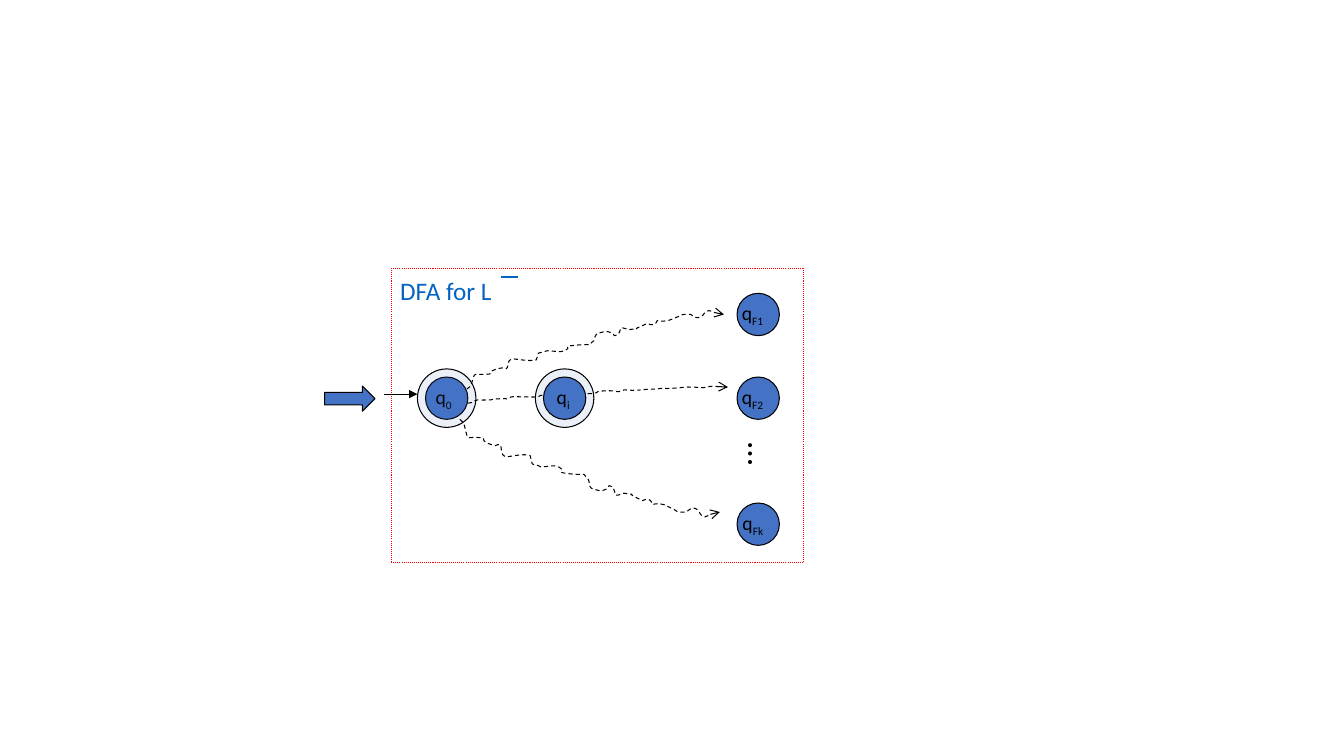
"""Build a slide showing a DFA with wavy paths from its start state to its final states."""
from itertools import pairwise

from lxml import etree
from pptx import Presentation
from pptx.dml.color import RGBColor
from pptx.enum.dml import MSO_LINE_DASH_STYLE as DASH
from pptx.enum.shapes import MSO_CONNECTOR, MSO_SHAPE
from pptx.enum.text import MSO_ANCHOR, MSO_AUTO_SIZE, PP_ALIGN
from pptx.oxml.ns import qn
from pptx.util import Pt

EMU_PER_PX = 9144
BLACK = RGBColor(0x00, 0x00, 0x00)
STATE_BLUE = RGBColor(0x44, 0x72, 0xC4)
TITLE_BLUE = RGBColor(0x05, 0x63, 0xC1)
FRAME_RED = RGBColor(0xFF, 0x00, 0x00)
FONT = "Calibri"

STATE_SIZE, HALO_SIZE = 42, 58
START_X, MIDDLE_X, FINAL_X = 443, 560, 752
ROW_Y = 395
FINAL_STATES = (("F1", 312), ("F2", ROW_Y), ("Fk", 520))
FRAME_LEFT, FRAME_TOP, FRAME_RIGHT, FRAME_BOTTOM = 388, 266, 797, 558

WAVE_WIDTH, WAVE_RISE = 255, 74
WAVE = (
    (1, 1, 3, 2, 4, 3), (5, 5, 5, 8, 6, 10), (9, 18, 6, 13, 23, 15),
    (23, 16, 24, 18, 25, 18), (28, 20, 35, 21, 35, 21), (43, 18, 39, 23, 42, 28),
    (42, 29, 44, 29, 45, 30), (49, 30, 63, 27, 69, 29), (72, 38, 69, 35, 77, 37),
    (78, 38, 80, 38, 81, 38), (85, 38, 93, 36, 97, 38), (105, 42, 95, 42, 103, 43),
    (110, 44, 116, 44, 122, 44), (123, 46, 125, 47, 126, 48),
    (128, 51, 126, 53, 129, 55), (132, 56, 137, 57, 137, 57),
    (139, 57, 141, 57, 143, 56), (149, 53, 143, 52, 150, 54),
    (155, 62, 149, 62, 161, 59), (177, 61, 162, 58, 172, 62),
    (174, 63, 179, 65, 179, 65), (184, 63, 187, 63, 189, 68),
    (199, 66, 202, 69, 210, 72), (215, 75, 216, 74, 222, 74),
    (227, 71, 229, 69, 234, 73), (239, 81, 247, 74, 255, 74),
)


def px(length):
    return round(length * EMU_PER_PX)


def style_line(line, color, width=0.75, dash=None, head=None):
    line.color.rgb = color
    line.width = Pt(width)
    if dash is not None:
        line.dash_style = dash
    if head:
        etree.SubElement(line._get_or_add_ln(), qn("a:tailEnd"), type=head)


def add_filled(shapes, preset, left, top, width, height):
    filled = shapes.add_shape(preset, px(left), px(top), px(width), px(height))
    filled.shadow.inherit = False
    filled.fill.solid()
    filled.fill.fore_color.rgb = STATE_BLUE
    style_line(filled.line, BLACK)
    return filled


def add_circle(shapes, center_x, center_y, size):
    return add_filled(shapes, MSO_SHAPE.OVAL, center_x - size / 2,
                      center_y - size / 2, size, size)


def add_state(shapes, index, center_x, center_y):
    frame = add_circle(shapes, center_x, center_y, STATE_SIZE).text_frame
    frame.word_wrap = False
    frame.vertical_anchor = MSO_ANCHOR.MIDDLE
    label = frame.paragraphs[0]
    label.alignment = PP_ALIGN.RIGHT
    label.add_run().text = "q"
    subscript = label.add_run()
    subscript.text = index
    subscript.font._element.set("baseline", "-25000")
    set_font(label, 14, BLACK)


def add_halo(shapes, center_x, center_y):
    halo = add_circle(shapes, center_x, center_y, HALO_SIZE)
    tint = halo.fill._xPr.find(f".//{qn('a:srgbClr')}")
    etree.SubElement(tint, qn("a:alpha"), val="10000")


def set_font(paragraph, size, color):
    paragraph.font.name = FONT
    paragraph.font.size = Pt(size)
    paragraph.font.color.rgb = color


def add_text(shapes, text, left, top, width, height, size, color):
    box = shapes.add_textbox(px(left), px(top), px(width), px(height))
    box.text_frame.word_wrap = False
    box.text_frame.auto_size = MSO_AUTO_SIZE.SHAPE_TO_FIT_TEXT
    box.text_frame.text = text
    set_font(box.text_frame.paragraphs[0], size, color)
    return box


def add_line(shapes, start, end, color, **line_style):
    connector = shapes.add_connector(MSO_CONNECTOR.STRAIGHT, *map(px, start + end))
    style_line(connector.line, color, **line_style)
    etree.SubElement(connector._element.spPr, qn("a:effectLst"))


def bend_segments(path):
    """Turn each three straight segments into one cubic curve."""
    segments = list(path._element.iter(qn("a:lnTo")))
    for first in range(0, len(segments), 3):
        curve = etree.Element(qn("a:cubicBezTo"))
        segments[first].addprevious(curve)
        for segment in segments[first:first + 3]:
            curve.append(segment[0])
            segment.getparent().remove(segment)


def add_wavy_path(shapes, left, start_y, width, rise):
    points = [(px(left + curve[i] * width / WAVE_WIDTH),
               px(start_y - curve[i + 1] * rise / WAVE_RISE))
              for curve in WAVE for i in (0, 2, 4)]
    builder = shapes.build_freeform(px(left), px(start_y))
    builder.add_line_segments(points, close=False)
    path = builder.convert_to_shape()
    bend_segments(path)
    path.shadow.inherit = False
    path.fill.background()
    style_line(path.line, BLACK, dash=DASH.DASH, head="arrow")


def add_frame(shapes):
    left_top, right_top = (FRAME_LEFT, FRAME_TOP), (FRAME_RIGHT, FRAME_TOP)
    left_bottom, right_bottom = (FRAME_LEFT, FRAME_BOTTOM), (FRAME_RIGHT, FRAME_BOTTOM)
    for start, end in pairwise((left_bottom, left_top, right_top, right_bottom, left_bottom)):
        add_line(shapes, min(start, end), max(start, end), FRAME_RED, dash=DASH.ROUND_DOT)


def main():
    deck = Presentation()
    deck.slide_width, deck.slide_height = px(1333), px(750)
    shapes = deck.slides.add_slide(deck.slide_layouts[6]).shapes

    add_state(shapes, "0", START_X, ROW_Y)
    for index, center_y in FINAL_STATES:
        add_state(shapes, index, FINAL_X, center_y)
    for center_x in (START_X, MIDDLE_X):
        add_halo(shapes, center_x, ROW_Y)
    add_text(shapes, "…", 729, 431, 53, 50, 24, BLACK).rotation = 90

    for left, start_y, width, rise in ((463, 386, 255, 74), (464, 400, 258, 16),
                                       (456, 416, 258, -92)):
        add_wavy_path(shapes, left, start_y, width, rise)
    add_state(shapes, "i", MIDDLE_X, ROW_Y)

    add_frame(shapes)
    add_text(shapes, "DFA for L", 387, 268, 139, 43, 18, TITLE_BLUE)
    add_line(shapes, (381, 391), (414, 391), BLACK, head="triangle")
    add_line(shapes, (497, 275), (514, 275), TITLE_BLUE, width=1.5)
    add_filled(shapes, MSO_SHAPE.RIGHT_ARROW, 322, 383, 50, 25)
    deck.save("out.pptx")


if __name__ == "__main__":
    main()
